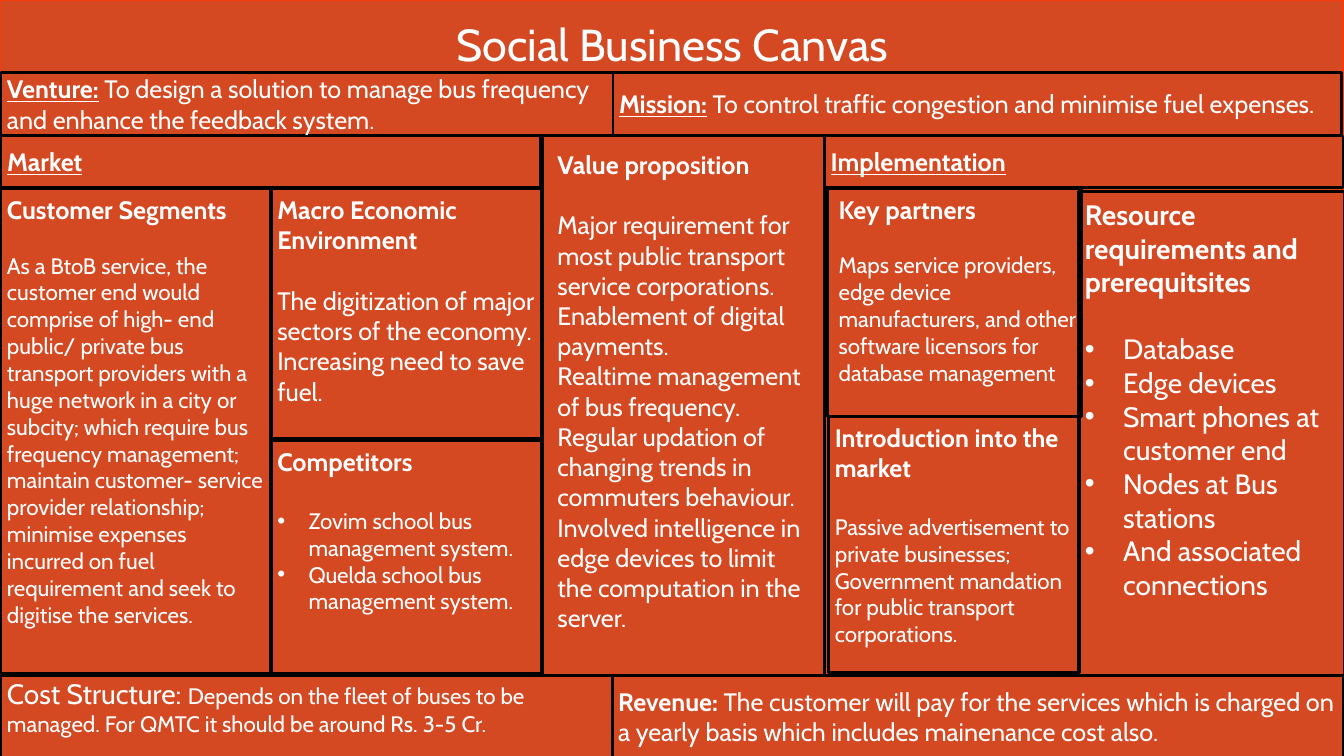
from dataclasses import dataclass

from lxml.etree import SubElement
from pptx import Presentation
from pptx.dml.color import RGBColor
from pptx.enum.shapes import MSO_SHAPE
from pptx.enum.text import MSO_ANCHOR, PP_ALIGN
from pptx.oxml.ns import qn
from pptx.util import Inches, Pt


@dataclass(frozen=True)
class Theme:
    font: str = "Cabin"
    panel: str = "D44822"
    panel_edge: str = "F73C09"
    rule: str = "000000"
    text: str = "FFFFFF"
    title: int = 32
    large: int = 20
    heading: int = 18
    body: int = 16
    line_height: float = 1.2


THEME = Theme()
BOLD = {"bold": True}
HEADING = {"bold": True, "underline": True}
INSET = 0.06


def color(value):
    return RGBColor.from_string(value)


def set_values(target, values):
    for name, value in values.items():
        setattr(target, name, value)


def run(text, size=THEME.heading, **font):
    return text, {"name": THEME.font, "size": Pt(size), **font}


def line(*runs, bullet=0, **paragraph_format):
    return runs, bullet, paragraph_format


def section(heading, body, size=THEME.body, gap=THEME.body,
            heading_size=THEME.heading, bullet=0):
    """Bold heading, one line of space, then the body paragraphs."""
    lines = [line(run(heading, heading_size, **BOLD))]
    for index, text in enumerate(body):
        space = Pt(gap * THEME.line_height) if index == 0 else Pt(0)
        lines.append(line(run(text, size), bullet=bullet, space_before=space))
    return lines


def add_bullet(paragraph, indent):
    properties = paragraph._p.get_or_add_pPr()
    properties.set("marL", str(Inches(indent)))
    properties.set("indent", str(-Inches(indent)))
    SubElement(properties, qn("a:buFont"), typeface="Arial")
    SubElement(properties, qn("a:buChar"), char="•")


def write(shape, lines, **frame_format):
    frame = shape.text_frame
    set_values(frame, {"word_wrap": True, **frame_format})
    for index, (runs, bullet, paragraph_format) in enumerate(lines):
        paragraph = frame.paragraphs[0] if index == 0 else frame.add_paragraph()
        set_values(paragraph, {"alignment": PP_ALIGN.LEFT, **paragraph_format})
        if bullet:
            add_bullet(paragraph, bullet)
        for text, font in runs:
            text_run = paragraph.add_run()
            text_run.text = text
            set_values(text_run.font, font)
            text_run.font.color.rgb = color(THEME.text)


def add_box(slide, bounds, edge=THEME.rule, width=2, fill=None):
    shape = slide.shapes.add_shape(MSO_SHAPE.RECTANGLE, *map(Inches, bounds))
    shape.shadow.inherit = False
    if fill:
        shape.fill.solid()
        shape.fill.fore_color.rgb = color(fill)
    else:
        shape.fill.background()
    shape.line.color.rgb = color(edge)
    shape.line.width = Pt(width)
    return shape


def add_cell(slide, bounds, lines, anchor=MSO_ANCHOR.TOP, bottom=INSET):
    sides = ("margin_left", "margin_top", "margin_right")
    margins = {side: Inches(INSET) for side in sides}
    write(add_box(slide, bounds), lines, vertical_anchor=anchor,
          margin_bottom=Inches(bottom), **margins)


def add_text(slide, bounds, lines):
    write(slide.shapes.add_textbox(*map(Inches, bounds)), lines)


def add_bands(slide):
    """Single-paragraph strips, centred vertically."""
    bands = [
        ((6.08, 0.72, 7.23, 0.62), INSET, [
            run("Mission:", **HEADING),
            run(" To control traffic congestion and minimise fuel expenses.")]),
        ((0.01, 1.35, 5.35, 0.51), INSET, [run("Market", **HEADING)]),
        ((8.18, 1.35, 5.14, 0.51), INSET, [run("Implementation", **HEADING)]),
        ((0.01, 0.72, 6.07, 0.62), INSET, [
            run("Venture:", **HEADING),
            run("\u00a0To design a solution to manage bus frequency and "
                "enhance the feedback system.")]),
        ((6.07, 6.7, 7.25, 0.81), INSET, [
            run("Revenue:", **BOLD),
            run("\u00a0The customer will pay for the services which is charged "
                "on a yearly basis which includes mainenance cost also.")]),
        ((0.01, 6.7, 6.07, 0.81), 0.24, [
            run("Cost Structure:\u00a0", THEME.large),
            run("Depends on the fleet of buses to be managed. For QMTC it "
                "should be around Rs. 3-5 Cr.", THEME.body)]),
    ]
    for bounds, bottom, runs in bands:
        add_cell(slide, bounds, [line(*runs)], MSO_ANCHOR.MIDDLE, bottom)


def add_sections(slide):
    """Market and implementation columns."""
    add_cell(slide, (0.01, 1.87, 2.67, 4.81), section("Customer Segments", [
        "As a BtoB service, the customer end would comprise of high- end "
        "public/ private bus transport providers with a huge network in a city "
        "or subcity; which require bus frequency management; "
        "maintain\u00a0customer- service provider relationship; minimise "
        "expenses incurred on fuel requirement and seek to digitise the "
        "services."]))
    add_cell(slide, (2.69, 1.87, 2.68, 2.48), section(
        "Macro Economic Environment",
        ["The digitization of major sectors of the economy. "
         "Increasing need to save fuel."], THEME.heading, THEME.heading))
    add_cell(slide, (2.69, 4.37, 2.68, 2.31), section(
        "Competitors",
        ["Zovim school bus management system.",
         "Quelda school bus management system."],
        gap=THEME.heading, bullet=0.31))
    add_cell(slide, (8.22, 4.13, 2.49, 2.54), section(
        "Introduction into the market",
        ["Passive advertisement to private businesses; Government mandation "
         "for public transport corporations."], gap=THEME.heading))
    add_cell(slide, (10.7, 1.9, 2.63, 4.8), section(
        "Resource requirements and prerequitsites",
        ["Database", "Edge devices", "Smart phones at customer end",
         "Nodes at Bus stations", "And associated connections"],
        THEME.large, THEME.large, THEME.large, bullet=0.38))


def add_framed_texts(slide):
    """Value proposition and key partners: a frame with its own text box."""
    add_box(slide, (5.38, 1.35, 2.8, 5.35))
    add_text(slide, (5.43, 1.43, 2.72, 5.25), section("Value proposition", [
        "Major requirement for most public transport service corporations.",
        "Enablement of digital payments.",
        "Realtime management of bus frequency.",
        "Regular updation of changing trends in commuters behaviour.",
        "Involved intelligence in edge devices to limit the computation in "
        "the server."], THEME.heading, THEME.heading))
    add_box(slide, (8.21, 1.87, 2.52, 2.26))
    add_text(slide, (8.22, 1.88, 2.57, 2.29), section("Key partners", [
        "Maps service providers, edge device manufacturers, and other "
        "software licensors for database management"]))


def main():
    presentation = Presentation()
    presentation.slide_width = Inches(13.33)
    presentation.slide_height = Inches(7.5)
    slide = presentation.slides.add_slide(presentation.slide_layouts[6])

    # Backdrop
    slide.background.fill.solid()
    slide.background.fill.fore_color.rgb = color(THEME.panel)
    add_box(slide, (0, 0, 13.32, 7.51), THEME.panel_edge, 1, THEME.panel)

    # Canvas
    add_bands(slide)
    add_sections(slide)
    add_framed_texts(slide)

    # Title
    add_text(slide, (0.16, 0.12, 13.02, 0.64), [
        line(run("Social Business Canvas", THEME.title),
             alignment=PP_ALIGN.CENTER)])

    presentation.save("out.pptx")


main()
